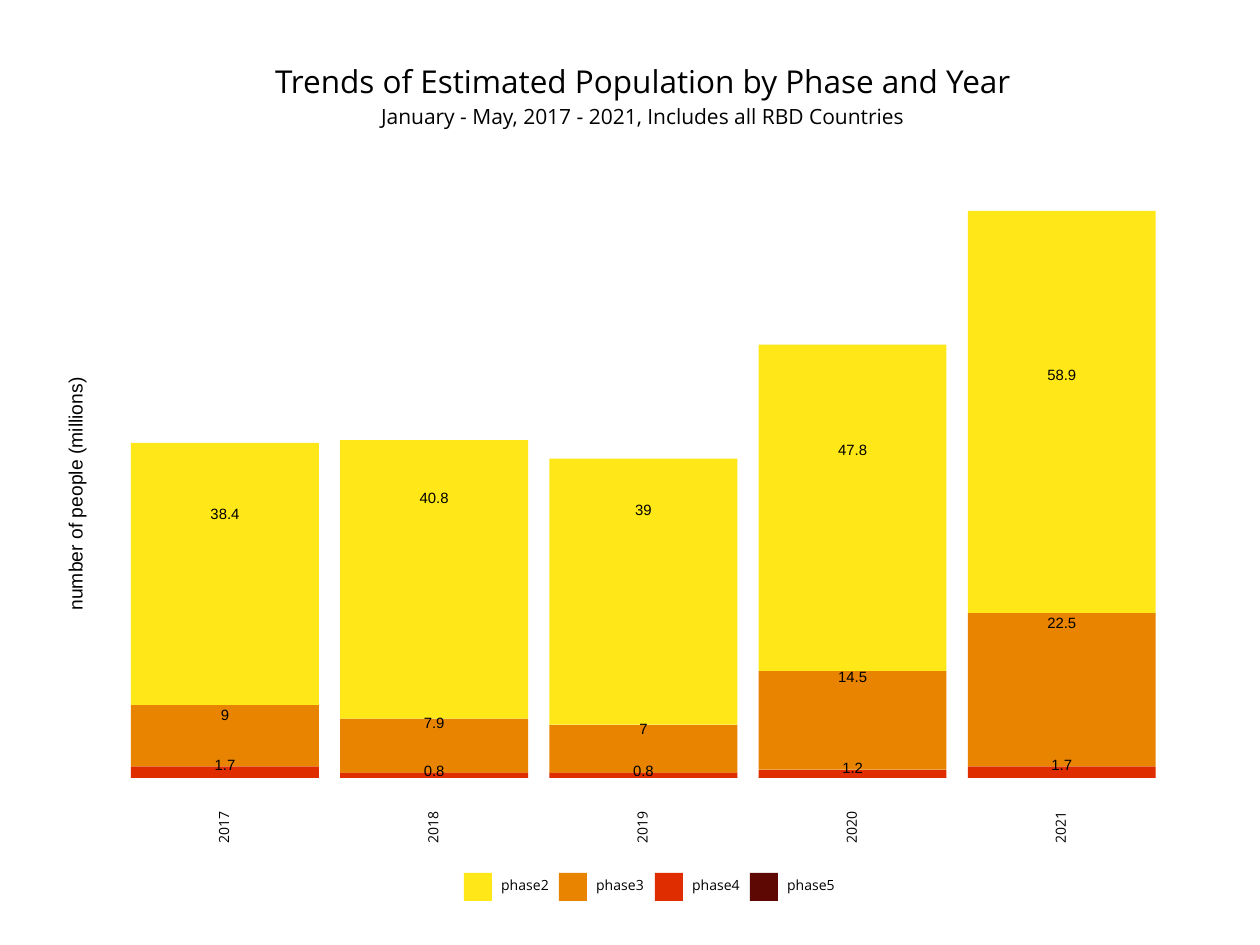
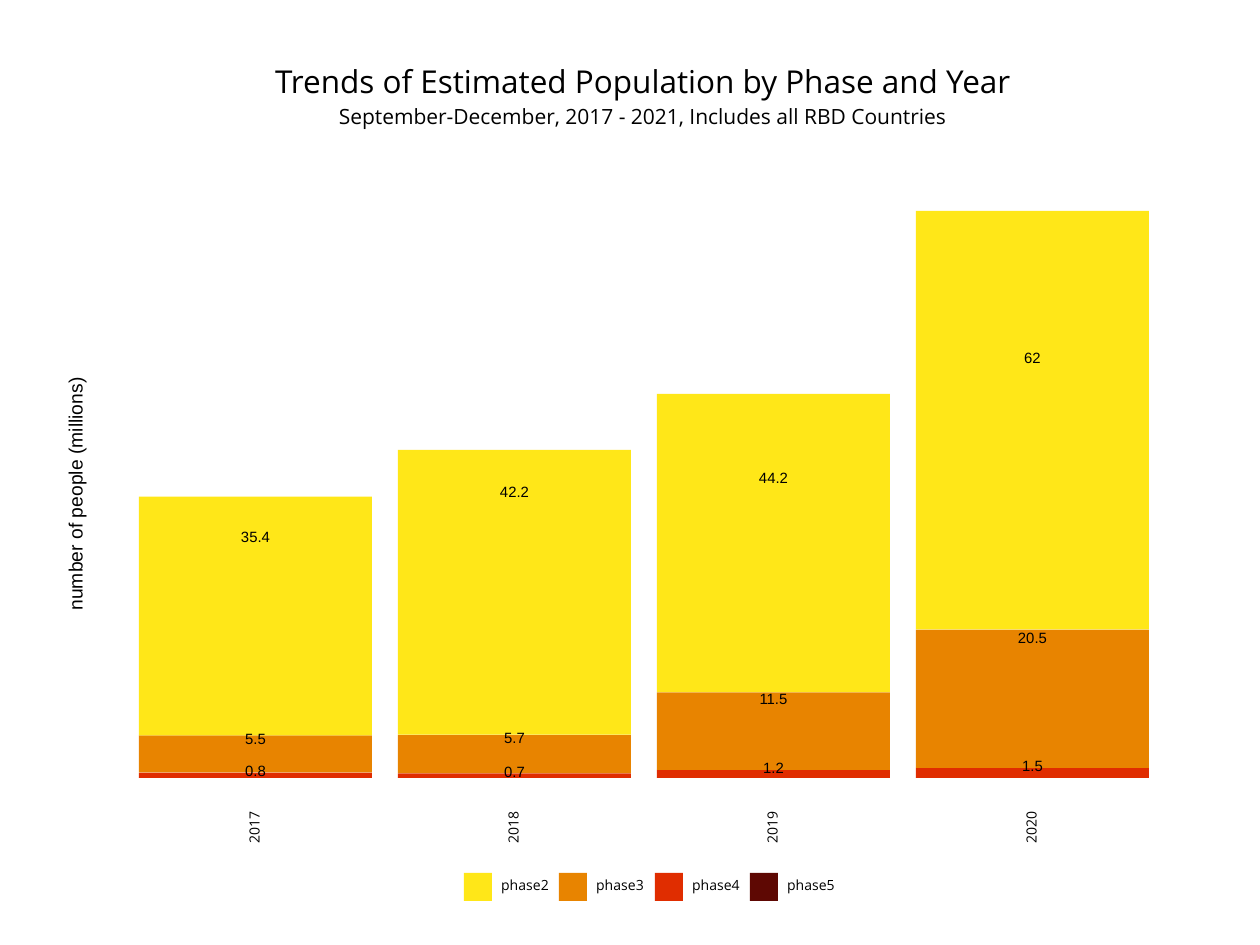
"""Build two slides that show estimated population by phase and year as stacked columns."""
from pptx import Presentation
from pptx import util as u
from pptx.dml import color
from pptx.enum import shapes, text

COLORS = {"phase2": "FFE718", "phase3": "E88400", "phase4": "E02D00", "phase5": "5E0803", "ink": "000000"}
PHASES = ["phase2", "phase3", "phase4", "phase5"]
SANS, ARIAL = "Open Sans", "Arial"
TOP, BASE, CENTER = 211, 778, 643

PAGES = [
    {
        "subtitle": "January - May, 2017 - 2021, Includes all RBD Countries",
        "first": 131, "pitch": 209.2, "width": 188,
        "years": ["2017", "2018", "2019", "2020", "2021"],
        "phase2": [38.4, 40.8, 39, 47.8, 58.9],
        "phase3": [9, 7.9, 7, 14.5, 22.5],
        "phase4": [1.7, 0.8, 0.8, 1.2, 1.7],
        "phase5": [0, 0, 0, 0, 0],
    },
    {
        "subtitle": "September-December, 2017 - 2021, Includes all RBD Countries",
        "first": 139, "pitch": 259, "width": 233,
        "years": ["2017", "2018", "2019", "2020"],
        "phase2": [35.4, 42.2, 44.2, 62],
        "phase3": [5.5, 5.7, 11.5, 20.5],
        "phase4": [0.8, 0.7, 1.2, 1.5],
        "phase5": [0, 0, 0, 0],
    },
]


def px(length):
    """Turn picture pixels into EMU."""
    return u.Emu(round(length * 914400 / 126))


class Report:
    """Hold the deck, its style and the current page."""

    def __init__(self):
        """Start an empty 10 by 7.5 inch deck."""
        self.deck = Presentation()
        self.deck.slide_width, self.deck.slide_height = px(1260), px(945)
        self.page = None

    def new_page(self):
        """Add a blank page and make it current."""
        self.page = self.deck.slides.add_slide(self.deck.slide_layouts[6])

    def label(self, words, middle, size, points, face=SANS, turn=0):
        """Write one centred line around a middle point."""
        (x, y), (width, height) = middle, size
        box = self.page.shapes.add_textbox(px(x - width / 2), px(y - height / 2), px(width), px(height))
        box.rotation = turn
        frame = box.text_frame
        frame.margin_left = frame.margin_right = frame.margin_top = frame.margin_bottom = 0
        frame.word_wrap = False
        frame.vertical_anchor = text.MSO_ANCHOR.MIDDLE
        para = frame.paragraphs[0]
        para.text = words
        para.alignment = text.PP_ALIGN.CENTER
        para.line_spacing = para.font.size = u.Pt(points)
        para.font.name = face
        para.font.color.rgb = color.RGBColor.from_string(COLORS["ink"])

    def block(self, name, left, top, width, height):
        """Draw a plain rectangle in the colour of a phase."""
        box = self.page.shapes.add_shape(
            shapes.MSO_SHAPE.RECTANGLE, px(left), px(top), px(width), px(height))
        box.shadow.inherit = False
        box.fill.solid()
        box.fill.fore_color.rgb = color.RGBColor.from_string(COLORS[name])
        box.line.fill.background()

    def columns(self, content, scale):
        """Stack the phases of each year up from the base."""
        for index in range(len(content["years"])):
            left, bottom = content["first"] + content["pitch"] * index, BASE
            for phase in reversed(PHASES):
                height = content[phase][index] * scale
                bottom -= height
                self.block(phase, left, bottom, content["width"], height)

    def column_labels(self, content, scale):
        """Put each value at its own height above the base, and the years below."""
        for index, year in enumerate(content["years"]):
            x = content["first"] + content["pitch"] * index + content["width"] / 2
            for phase in PHASES[:3]:
                value = content[phase][index]
                self.label(f"{value:g}", (x, BASE - 0.5 - value * scale), (32, 11), 8.5, ARIAL)
            self.label(year, (x, 827), (38, 10), 8, turn=270)

    def legend(self):
        """Draw the row of phase keys and names."""
        for index, phase in enumerate(PHASES):
            left = round(464 + 95.4 * index)
            self.block(phase, left, 873, 28, 28)
            self.label(phase, (left + 61, 886), (54, 13), 8)

    def trend(self, content):
        """Build one whole trend page."""
        scale = (BASE - TOP) / max(map(sum, zip(*(content[phase] for phase in PHASES))))
        self.new_page()
        self.columns(content, scale)
        self.column_labels(content, scale)
        self.label("number of people (millions)", (77, 494), (250, 18), 11, ARIAL, 270)
        self.legend()
        self.label(content["subtitle"], (CENTER, 118), (640, 20), 12)
        self.label("Trends of Estimated Population by Phase and Year", (CENTER, 84), (756, 29), 18)


report = Report()
for content in PAGES:
    report.trend(content)
report.deck.save("out.pptx")
